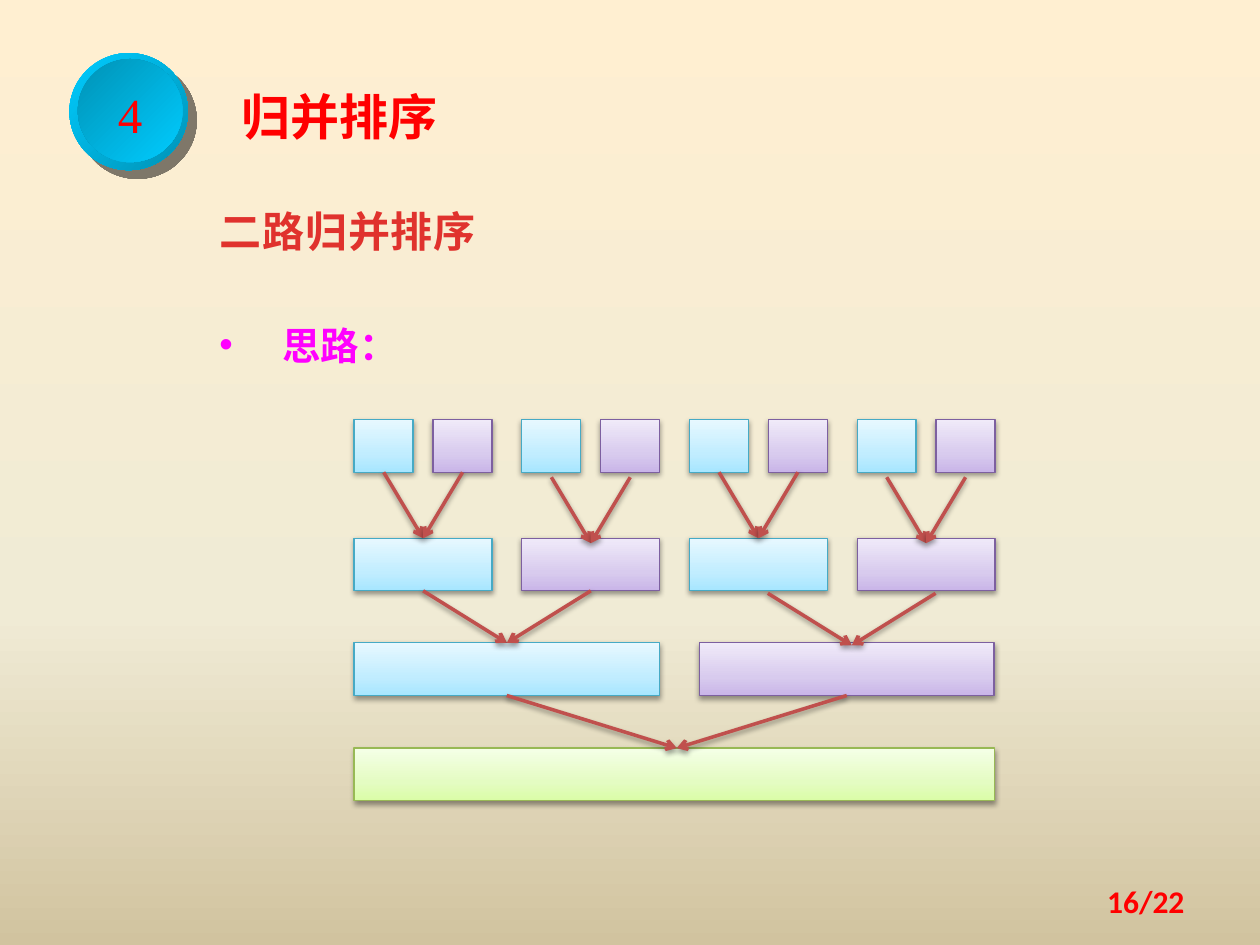
from dataclasses import dataclass

import pptx
import pptx.dml.color
import pptx.enum.shapes
import pptx.enum.text
import pptx.oxml
import pptx.oxml.ns
import pptx.util
from lxml import etree
from pptx.util import Cm

COLORS = {
    "red": "FF0000",
    "crimson": "E0322D",
    "magenta": "FF00FF",
    "arrow": "C0504D",
    "badge shadow": "020202",
    "shadow": "000000",
}
BACKGROUND = {0: "FFEFD1", 65: "F0EBD5", 100: "D1C39F"}
BADGE_RIM = {0: "00CCFF", 100: "0092B6"}
BADGE_FACE = {0: "0092B6", 100: "00CCFF"}
CJK_FONT = "Noto Sans CJK SC"
ROW_HEIGHT = 1.06
ROW_TOPS = (8.46, 10.85, 12.96, 15.08)
TREE_LEFT = 7.14
PAIR_PITCH = 3.38
LEAF_PITCH = 1.59


@dataclass(frozen=True)
class Palette:
    stops: dict[int, str]
    line: str


BLUE = Palette({0: "A7E6FF", 35: "C1EDFF", 100: "E7F8FF"}, "46AAC5")
PURPLE = Palette({0: "C9B5E8", 35: "D8CBEE", 100: "F0EAF9"}, "7D60A0")
GREEN = Palette({0: "DAFDA7", 35: "E4FCC2", 100: "F5FFE7"}, "98B955")


@dataclass(frozen=True)
class Block:
    left: float
    row: int
    width: float
    palette: Palette

    @property
    def center(self) -> float:
        return self.left + self.width / 2

    @property
    def top(self) -> float:
        return ROW_TOPS[self.row]


@dataclass(frozen=True)
class Merge:
    sources: tuple[Block, Block]
    result: Block
    drop: float = 0
    shift: float = 0


@dataclass(frozen=True)
class TextStyle:
    size: int
    font: str
    color: str
    bold: bool = True
    line_spacing: float = 1.0
    align: pptx.enum.text.PP_ALIGN = pptx.enum.text.PP_ALIGN.LEFT
    anchor: pptx.enum.text.MSO_ANCHOR = pptx.enum.text.MSO_ANCHOR.TOP
    bullet: str = ""
    spacing: int = 0


def rgb(value: str) -> pptx.dml.color.RGBColor:
    return pptx.dml.color.RGBColor.from_string(value)


def set_gradient(fill, owner, stops: dict[int, str], angle: int) -> None:
    fill.gradient()
    fill.gradient_angle = (360 - angle) % 360
    stop_list = owner.find(".//" + pptx.oxml.ns.qn("a:gsLst"))
    for stop in list(stop_list):
        stop_list.remove(stop)
    for position, color in stops.items():
        stop = etree.SubElement(stop_list, pptx.oxml.ns.qn("a:gs"), pos=str(position * 1000))
        etree.SubElement(stop, pptx.oxml.ns.qn("a:srgbClr"), val=color)


def add_shadow(properties, color: str, alpha: int, blur: float, distance: float, angle: int) -> None:
    effects = properties.find(pptx.oxml.ns.qn("a:effectLst"))
    if effects is None:
        effects = etree.SubElement(properties, pptx.oxml.ns.qn("a:effectLst"))
    shadow = etree.SubElement(
        effects, pptx.oxml.ns.qn("a:outerShdw"), blurRad=str(pptx.util.Pt(blur)),
        dist=str(pptx.util.Pt(distance)), dir=str(angle * 60000), algn="ctr", rotWithShape="0")
    tint = etree.SubElement(shadow, pptx.oxml.ns.qn("a:srgbClr"), val=color)
    etree.SubElement(tint, pptx.oxml.ns.qn("a:alpha"), val=str(alpha * 1000))


def place(shape, left: float, top: float, width: float, height: float) -> None:
    shape.left, shape.top, shape.width, shape.height = map(Cm, (left, top, width, height))


def write_text(shape, text: str, style: TextStyle) -> None:
    frame = shape.text_frame
    frame.auto_size = pptx.enum.text.MSO_AUTO_SIZE.NONE
    frame.word_wrap = True
    frame.vertical_anchor = style.anchor
    paragraph = frame.paragraphs[0]
    paragraph.text = text
    paragraph.alignment = style.align
    paragraph.line_spacing = style.line_spacing
    paragraph.space_before = pptx.util.Pt(0)
    properties = paragraph._p.get_or_add_pPr()
    indent = Cm(1.27) if style.bullet else 0
    properties.set("marL", str(indent))
    properties.set("indent", str(-indent))
    if style.bullet:
        etree.SubElement(properties, pptx.oxml.ns.qn("a:buFont"), typeface="Arial")
        etree.SubElement(properties, pptx.oxml.ns.qn("a:buChar"), char=style.bullet)
    else:
        etree.SubElement(properties, pptx.oxml.ns.qn("a:buNone"))
    font = paragraph.font
    font.size = pptx.util.Pt(style.size)
    font.name = style.font
    font.bold = style.bold
    font.color.rgb = rgb(COLORS[style.color])
    defaults = properties.find(pptx.oxml.ns.qn("a:defRPr"))
    defaults.set("spc", str(style.spacing))
    latin = defaults.find(pptx.oxml.ns.qn("a:latin"))
    latin.addnext(etree.Element(pptx.oxml.ns.qn("a:ea"), typeface=style.font))


def add_disc(slide, left: float, top: float, width: float, height: float, stops: dict[int, str]):
    disc = slide.shapes.add_shape(
        pptx.enum.shapes.MSO_SHAPE.OVAL, *map(Cm, (left, top, width, height)))
    disc.shadow.inherit = False
    disc.line.fill.background()
    set_gradient(disc.fill, disc._element.spPr, stops, 45)
    return disc


def draw_block(slide, block: Block) -> None:
    shape = slide.shapes.add_shape(
        pptx.enum.shapes.MSO_SHAPE.RECTANGLE,
        *map(Cm, (block.left, block.top, block.width, ROW_HEIGHT)))
    shape.shadow.inherit = False
    set_gradient(shape.fill, shape._element.spPr, block.palette.stops, 270)
    shape.line.color.rgb = rgb(block.palette.line)
    shape.line.width = pptx.util.Pt(0.75)
    add_shadow(shape._element.spPr, COLORS["shadow"], 38, 3.1, 1.6, 90)


def draw_merge(slide, merge: Merge) -> None:
    draw_block(slide, merge.result)
    starts = [source.center + merge.shift for source in merge.sources]
    target = sum(starts) / 2
    for start, source in zip(starts, merge.sources):
        arrow = slide.shapes.add_connector(
            pptx.enum.shapes.MSO_CONNECTOR.STRAIGHT,
            Cm(start), Cm(source.top + ROW_HEIGHT + merge.drop),
            Cm(target), Cm(merge.result.top + merge.drop))
        arrow.line.color.rgb = rgb(COLORS["arrow"])
        arrow.line.width = pptx.util.Pt(2)
        etree.SubElement(arrow.line._get_or_add_ln(), pptx.oxml.ns.qn("a:tailEnd"), type="arrow")
        add_shadow(arrow._element.spPr, COLORS["shadow"], 38, 3.1, 1.6, 90)


def draw_tree(slide) -> None:
    palettes = (BLUE, PURPLE)
    leaves = [Block(TREE_LEFT + pair * PAIR_PITCH + side * LEAF_PITCH, 0, 1.19, palettes[side])
              for pair in range(4) for side in range(2)]
    pairs = [Block(TREE_LEFT + pair * PAIR_PITCH, 1, 2.78, palettes[pair % 2]) for pair in range(4)]
    halves = [Block(TREE_LEFT, 2, 6.15, BLUE), Block(14.1, 2, 5.94, PURPLE)]
    root = Block(TREE_LEFT, 3, 12.91, GREEN)
    for leaf in leaves:
        draw_block(slide, leaf)
    for index, pair in enumerate(pairs):
        draw_merge(slide, Merge((leaves[2 * index], leaves[2 * index + 1]), pair, index % 2 * 0.1))
    draw_merge(slide, Merge((pairs[0], pairs[1]), halves[0]))
    draw_merge(slide, Merge((pairs[2], pairs[3]), halves[1], 0.05, 0.19))
    draw_merge(slide, Merge((halves[0], halves[1]), root))


def main() -> None:
    presentation = pptx.Presentation()
    presentation.slide_width, presentation.slide_height = Cm(25.4), Cm(19.05)
    slide = presentation.slides.add_slide(presentation.slide_layouts[3])
    set_gradient(slide.background.fill, slide._element, BACKGROUND, 90)
    middle = pptx.enum.text.MSO_ANCHOR.MIDDLE
    title, subtitle, idea = list(slide.placeholders)[:3]
    place(title, 4.17, 1.5, 7.34, 1.47)
    write_text(title, "归并排序", TextStyle(28, CJK_FONT, "red", line_spacing=1.1))
    title.text_frame.margin_left = Cm(0.7)
    place(subtitle, 4.17, 3.51, 6.15, 1.63)
    write_text(subtitle, "二路归并排序", TextStyle(24, CJK_FONT, "crimson", line_spacing=1.5, spacing=50))
    place(idea, 4.17, 5.89, 4.78, 1.45)
    write_text(idea, "思路：", TextStyle(22, CJK_FONT, "magenta", line_spacing=1.5, bullet="•"))
    rim = add_disc(slide, 1.4, 1.07, 2.39, 2.36, BADGE_RIM)
    add_shadow(rim._element.spPr, COLORS["badge shadow"], 50, 0, 7.1, 45)
    face = add_disc(slide, 1.57, 1.19, 2.11, 2.08, BADGE_FACE)
    center = pptx.enum.text.PP_ALIGN.CENTER
    write_text(face, "4", TextStyle(28, "Times New Roman", "red", False, 1.1, center, middle))
    draw_tree(slide)
    page = slide.shapes.add_textbox(Cm(18.21), Cm(17.65), Cm(5.92), Cm(1.02))
    right = pptx.enum.text.PP_ALIGN.RIGHT
    write_text(page, "16/22", TextStyle(18, "Calibri", "red", align=right, anchor=middle))
    presentation.save("out.pptx")


if __name__ == "__main__":
    main()
